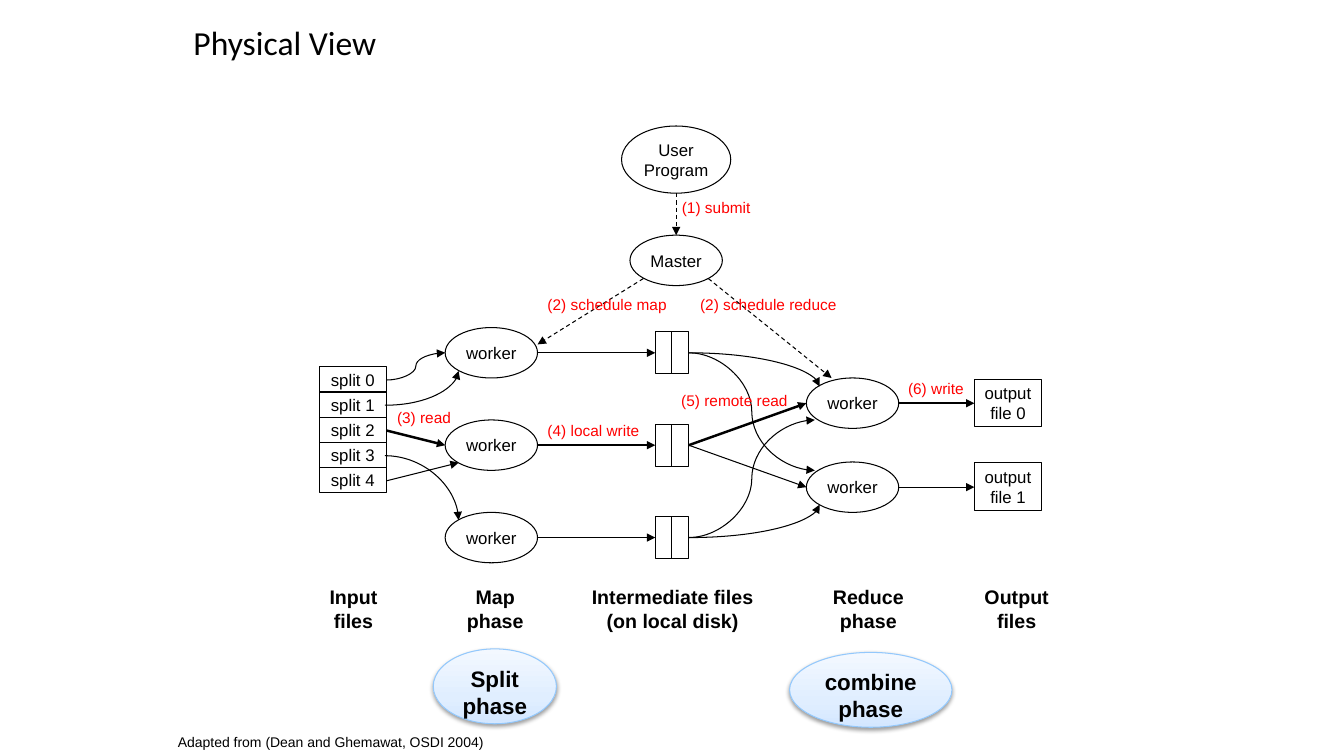
from copy import deepcopy

from pptx import Presentation
from pptx.dml.color import RGBColor
from pptx.enum.dml import MSO_LINE
from pptx.enum.shapes import MSO_CONNECTOR as CONNECTOR, MSO_SHAPE as SHAPE
from pptx.enum.text import MSO_ANCHOR as ANCHOR, MSO_AUTO_SIZE as AUTO_SIZE, PP_ALIGN as ALIGN
from pptx.oxml import parse_xml
from pptx.oxml.ns import nsdecls, qn
from pptx.util import Pt

COLORS = {"ink": "000000", "step": "FF0000", "oval_line": "93C8FC",
          "oval_low": "D4E7FF", "oval_mid": "E0EEFF", "oval_high": "F3F8FF"}
COLORS = {name: RGBColor.from_string(value) for name, value in COLORS.items()}

FORMATS = {
    "title": {"name": "Calibri", "size": Pt(24), "bold": False},
    "node": {"name": "Arial", "size": Pt(12), "bold": False},
    "step": {"name": "Arial", "size": Pt(11), "bold": False},
    "phase": {"name": "Arial", "size": Pt(14), "bold": True},
    "oval": {"name": "Arial", "size": Pt(16), "bold": True},
    "source": {"name": "Arial", "size": Pt(10), "bold": False},
}


def write_text(shape, text, style, align=ALIGN.CENTER, color="ink"):
    frame = shape.text_frame
    frame.text = text
    for paragraph in frame.paragraphs:
        paragraph.alignment = align
        for run in paragraph.runs:
            for name, value in FORMATS[style].items():
                setattr(run.font, name, value)
            run.font.color.rgb = COLORS[color]
    return frame


def add_node(kind, left, top, width, height, text=""):
    shape = slide.shapes.add_shape(kind, Pt(left), Pt(top), Pt(width), Pt(height))
    shape.shadow.inherit = False
    shape.fill.background()
    shape.line.color.rgb = COLORS["ink"]
    shape.line.width = Pt(0.75)
    if text:
        frame = write_text(shape, text, "node")
        frame.word_wrap = False
        for side in ("left", "right", "top", "bottom"):
            setattr(frame, f"margin_{side}", Pt(0))
    return shape


presentation = Presentation()
presentation.slide_width, presentation.slide_height = Pt(960), Pt(540)
slide = presentation.slides.add_slide(presentation.slide_layouts[5])

# Title
title = slide.shapes.title
title.left, title.top, title.width, title.height = Pt(131), Pt(12), Pt(205), Pt(36)
title_frame = write_text(title, "Physical View", "title", ALIGN.LEFT)
title_frame.vertical_anchor = ANCHOR.TOP
title_frame.auto_size = AUTO_SIZE.NONE

# Input splits
for index in range(5):
    add_node(SHAPE.RECTANGLE, 228, 262 + 18 * index, 48, 18, f"split {index}")

# Map workers with their intermediate file pairs
for row in range(3):
    add_node(SHAPE.OVAL, 318, 234 + 66 * row, 66, 36, "worker")
    for left in (468, 480):
        add_node(SHAPE.RECTANGLE, left, 237 + 66 * row, 12, 30)

# Reduce workers with their output files
for row in range(2):
    add_node(SHAPE.OVAL, 576, 270 + 60 * row, 66, 36, "worker")
    add_node(SHAPE.RECTANGLE, 696, 271 + 59.5 * row, 48, 34, f"output\nfile {row}")

# Control nodes
add_node(SHAPE.OVAL, 450, 168, 66, 36, "Master")
add_node(SHAPE.OVAL, 444, 90, 78, 48, "User\vProgram")

# Arrows: start x, start y, end x, end y
THIN, THICK = 0.75, 1.75
ARROWS = [
    ("curvedConnector3", THIN, False, [
        (276, 271.5, 318, 252), (492, 252, 582, 336), (492, 384, 582, 300)]),
    ("curvedConnector2", THIN, False, [
        (275, 289.5, 327.6, 265), (275, 325.5, 327.6, 371.5),
        (492, 252, 585.5, 276), (492, 384, 585.5, 360.5)]),
    ("line", THIN, False, [
        (276, 343.5, 327.6, 330.5), (384, 252, 468, 252), (384, 384, 468, 384),
        (642, 348, 696, 348), (492, 318, 576, 348)]),
    ("line", THICK, False, [
        (276, 307.5, 318, 318), (384, 318, 468, 318),
        (642, 288, 696, 288), (492, 318, 576, 288)]),
    ("line", THIN, True, [
        (483, 138, 483, 168), (459.5, 199, 384, 246), (506, 199, 594, 270)]),
]
for geometry, weight, dashed, routes in ARROWS:
    kind = CONNECTOR.STRAIGHT if geometry == "line" else CONNECTOR.CURVE
    for route in routes:
        arrow = slide.shapes.add_connector(kind, *[Pt(value) for value in route])
        arrow.line.color.rgb = COLORS["ink"]
        arrow.line.width = Pt(weight)
        if dashed:
            arrow.line.dash_style = MSO_LINE.DASH
        properties = arrow._element.spPr
        properties.find(qn("a:prstGeom")).set("prst", geometry)
        properties.find(qn("a:ln")).append(
            parse_xml(f'<a:tailEnd {nsdecls("a")} type="triangle"/>'))
        properties.append(parse_xml(f'<a:effectLst {nsdecls("a")}/>'))

# Step labels, phase headings and source: text, left, top, width, height
LABELS = [
    ("step", "step", ALIGN.LEFT, [
        ("(1) submit", 480, 138, 64, 21),
        ("(2) schedule map", 384, 207.5, 100, 21),
        ("(2) schedule reduce", 493, 207.5, 112.5, 21),
        ("(3) read", 276.5, 288, 53.5, 21),
        ("(4) local write", 384, 297.5, 80.5, 21),
        ("(5) remote read", 479.5, 276, 90.5, 21),
        ("(6) write", 641.5, 267, 54.5, 21)]),
    ("phase", "ink", ALIGN.CENTER, [
        ("Input\nfiles", 228, 414.5, 49, 41),
        ("Map\nphase", 326, 414.5, 55.5, 41),
        ("Intermediate files\n(on local disk)", 415.5, 414.5, 130, 41),
        ("Reduce\nphase", 587.5, 414.5, 65.5, 41),
        ("Output\nfiles", 696, 414.5, 60.5, 41)]),
    ("source", "ink", ALIGN.LEFT, [
        ("Adapted from (Dean and Ghemawat, OSDI 2004)", 120, 520.5, 246, 19.5)]),
]
for style, color, align, labels in LABELS:
    for text, *box in labels:
        label = slide.shapes.add_textbox(*[Pt(value) for value in box])
        frame = write_text(label, text, style, align, color)
        frame.word_wrap = style == "source"

# Shaded phase ovals
SHADOW = (f'<a:outerShdw {nsdecls("a")} blurRad="40000" dist="20000" dir="5400000" '
          'rotWithShape="0"><a:srgbClr val="000000"><a:alpha val="38000"/>'
          '</a:srgbClr></a:outerShdw>')
STOPS = [(0, "oval_low"), (0.35, "oval_mid"), (1, "oval_high")]
for text, left, top, width in [("Split phase", 309.5, 463.5, 88),
                               ("combine phase", 564, 466, 116)]:
    oval = add_node(SHAPE.OVAL, left, top, width, 53.5)
    oval.line.color.rgb = COLORS["oval_line"]
    oval.fill.gradient()
    oval.fill.gradient_angle = 90
    properties = oval._element.spPr
    stop_list = properties.find(qn("a:gradFill")).find(qn("a:gsLst"))
    stop_list.insert(1, deepcopy(stop_list[0]))
    for stop, (position, color) in zip(oval.fill.gradient_stops, STOPS):
        stop.position = position
        stop.color.rgb = COLORS[color]
    properties.find(qn("a:effectLst")).append(parse_xml(SHADOW))
    frame = write_text(oval, text, "oval")
    frame.word_wrap = True
    frame.vertical_anchor = ANCHOR.TOP

presentation.save("out.pptx")
